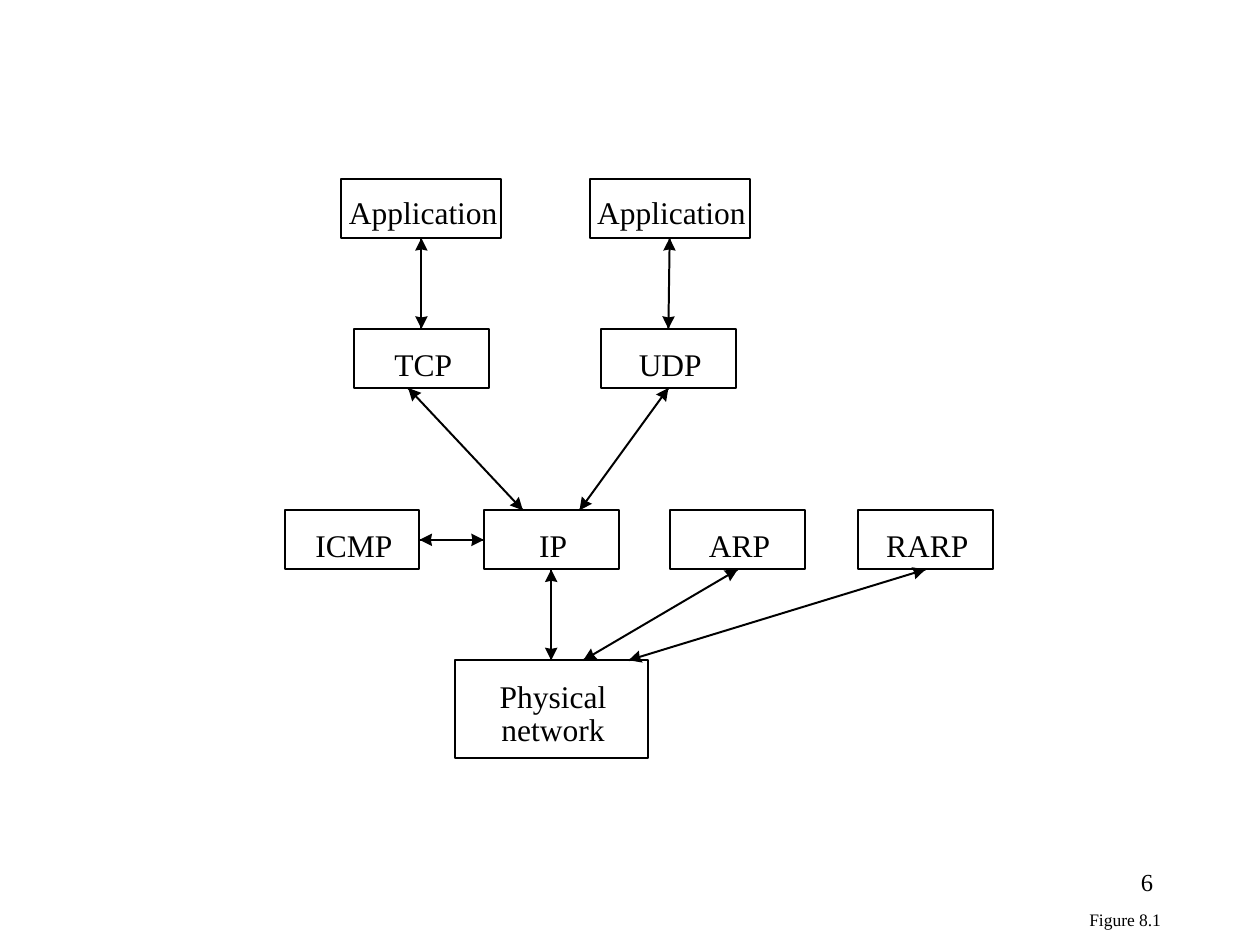
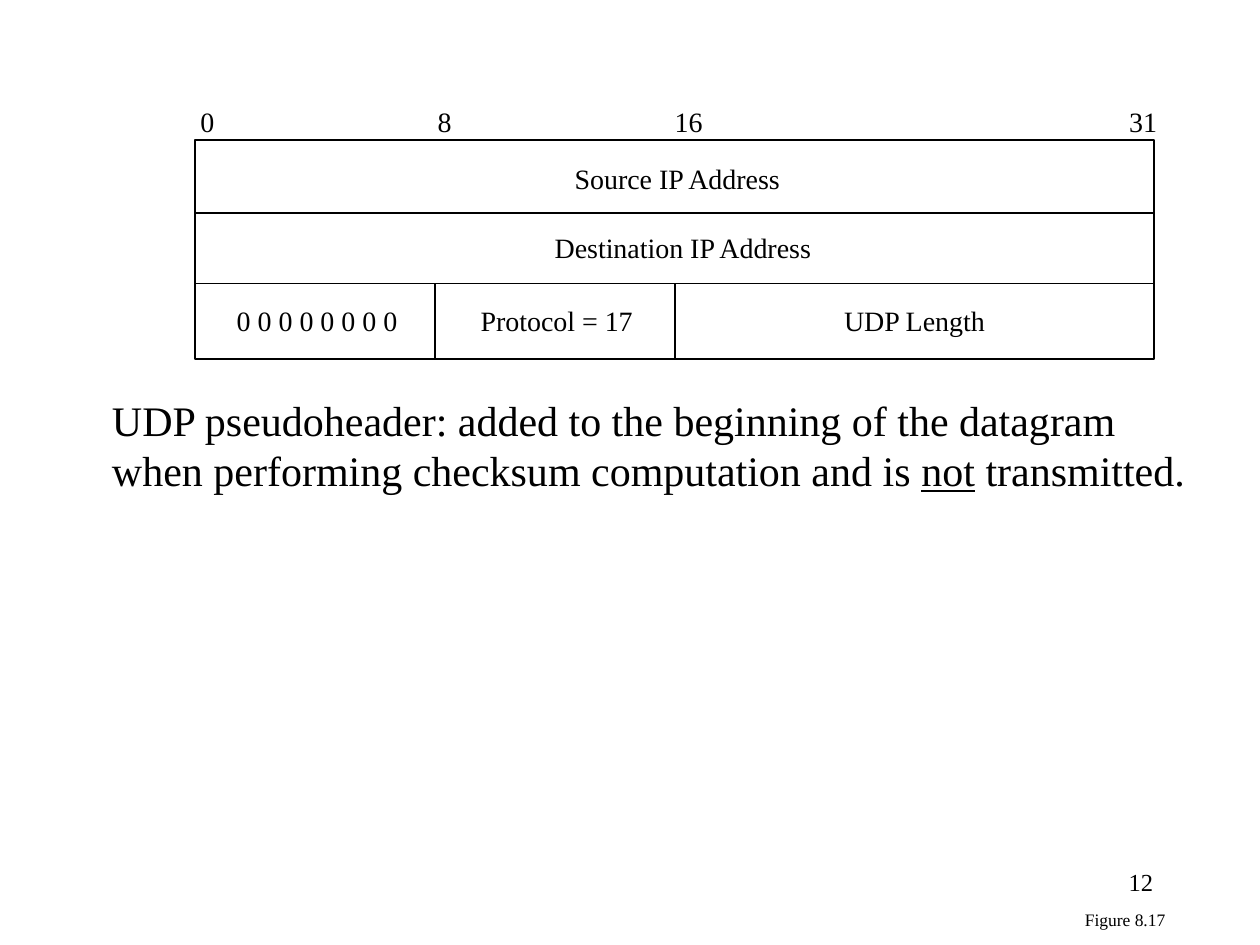
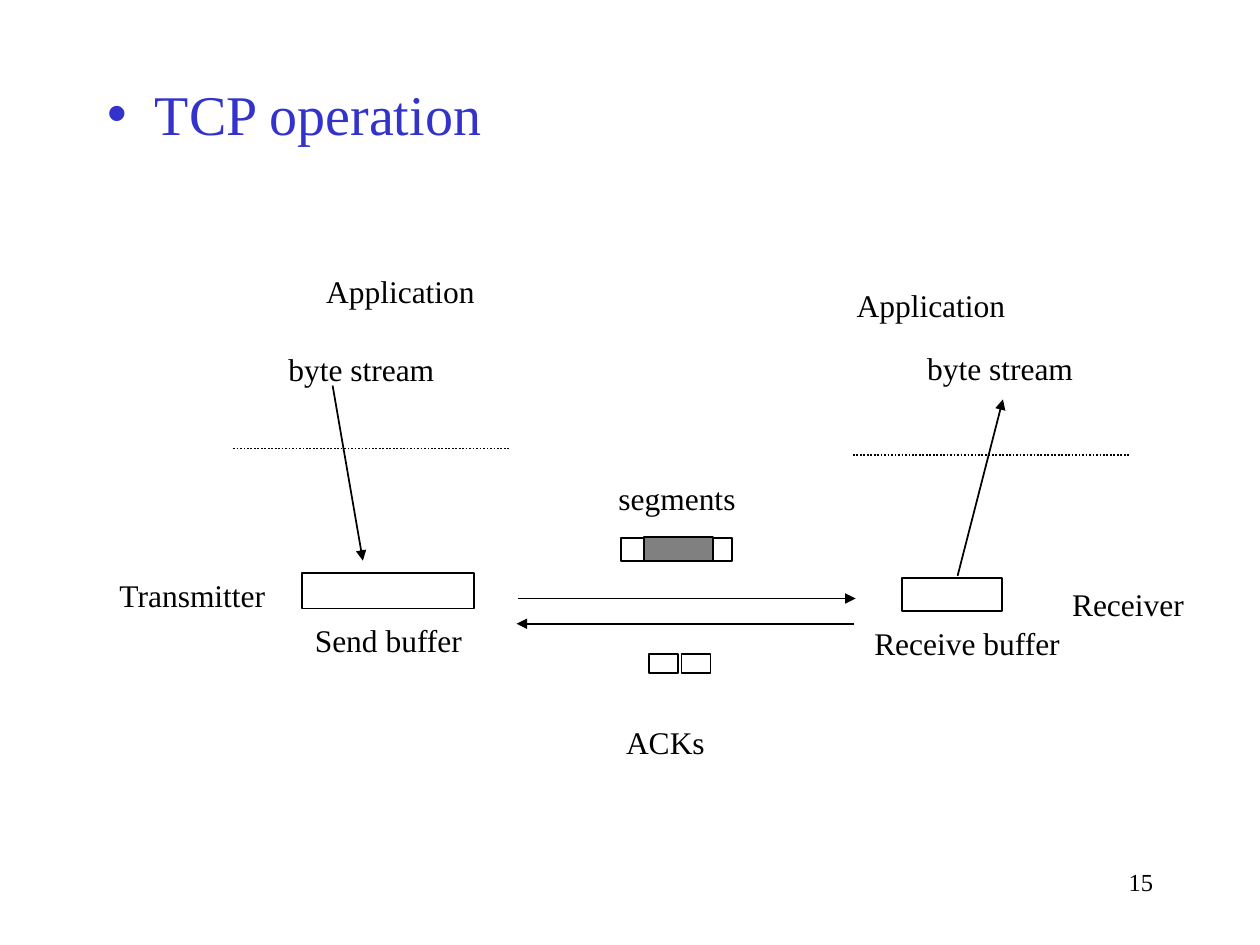
from dataclasses import dataclass
from math import hypot

from lxml import etree
from pptx import Presentation
from pptx.dml.color import RGBColor
from pptx.enum.dml import MSO_LINE
from pptx.enum.shapes import MSO_CONNECTOR, MSO_SHAPE
from pptx.enum.text import MSO_ANCHOR, MSO_AUTO_SIZE, PP_ALIGN
from pptx.oxml.ns import qn
from pptx.util import Inches, Pt

STRAIGHT = MSO_CONNECTOR.STRAIGHT
RECTANGLE = MSO_SHAPE.RECTANGLE
DOTTED = MSO_LINE.ROUND_DOT
LEFT, CENTER, RIGHT = PP_ALIGN.LEFT, PP_ALIGN.CENTER, PP_ALIGN.RIGHT
TOP, MIDDLE = MSO_ANCHOR.TOP, MSO_ANCHOR.MIDDLE
NO_FIT = MSO_AUTO_SIZE.NONE
TOP_SIDE, LEFT_SIDE, BOTTOM_SIDE, RIGHT_SIDE = range(4)

WIDTH, HEIGHT = Inches(10), Inches(7.5)
COLUMNS, ROWS = 10, 7.5
BODY_LAYOUT, BLANK_LAYOUT = 1, 6


@dataclass(frozen=True)
class Theme:
    font: str = "Times New Roman"
    ink: RGBColor = RGBColor(0x00, 0x00, 0x00)
    accent: RGBColor = RGBColor(0x33, 0x33, 0xCC)
    payload: RGBColor = RGBColor(0x80, 0x80, 0x80)
    heading: int = 32
    note: int = 24
    label: int = 18
    field: int = 16
    page: int = 14
    figure: int = 10
    thin: float = 1
    medium: float = 1.13


THEME = Theme()


def cols(count):
    return round(WIDTH * count / COLUMNS)


def rows(count):
    return round(HEIGHT * count / ROWS)


def area(left, top, width, height):
    return cols(left), rows(top), cols(width), rows(height)


def apply(target, values):
    for name, value in values.items():
        setattr(target, name, value)


def write(frame, text, size, align=LEFT, anchor=TOP, inset=(0.1, 0.05, 0.1, 0.05),
          wrap=False, spacing=None):
    left, top, right, bottom = inset
    apply(frame, {
        "word_wrap": wrap, "auto_size": NO_FIT, "vertical_anchor": anchor,
        "margin_left": cols(left), "margin_top": rows(top),
        "margin_right": cols(right), "margin_bottom": rows(bottom),
    })
    for index, line in enumerate(text.split("\n")):
        paragraph = frame.add_paragraph() if index else frame.paragraphs[0]
        apply(paragraph, {"alignment": align, "line_spacing": spacing})
        for part, piece in enumerate(line.split("_")):
            run = paragraph.add_run()
            run.text = piece
            apply(run.font, {"name": THEME.font, "size": Pt(size), "underline": part % 2 == 1})
            run.font.color.rgb = THEME.ink


def label(slide, text, place, size=THEME.label, **layout):
    write(slide.shapes.add_textbox(*area(*place)).text_frame, text, size, **layout)


def box(slide, place, weight=THEME.thin, fill=None):
    shape = slide.shapes.add_shape(RECTANGLE, *area(*place))
    shape.shadow.inherit = False
    if fill is None:
        shape.fill.background()
    else:
        shape.fill.solid()
        shape.fill.fore_color.rgb = fill
    shape.line.color.rgb = THEME.ink
    shape.line.width = Pt(weight)
    return shape


def node(slide, text, place, drop=0.08):
    shape = box(slide, place, THEME.medium)
    write(shape.text_frame, text, THEME.label, CENTER, MIDDLE,
          inset=(0.03, drop, 0, 0), spacing=Pt(19) if "\n" in text else None)
    return shape


def rule(slide, start, end, weight=THEME.thin, dash=None, tip=None):
    line = slide.shapes.add_connector(
        STRAIGHT, cols(start[0]), rows(start[1]), cols(end[0]), rows(end[1]))
    line.line.color.rgb = THEME.ink
    line.line.width = Pt(weight)
    if dash is not None:
        line.line.dash_style = dash
    if tip:
        etree.SubElement(line.line._get_or_add_ln(), qn("a:tailEnd"), type=tip)
    etree.SubElement(line._element.spPr, qn("a:effectLst"))
    return line


def arrowhead(slide, tip, origin):
    length, notch, half = cols(0.1), cols(0.09), cols(0.05)
    run, rise = tip[0] - origin[0], tip[1] - origin[1]
    distance = hypot(run, rise)
    along, across = run / distance, rise / distance

    def point(back, side):
        return (round(tip[0] - back * along - side * across),
                round(tip[1] - back * across + side * along))

    outline = slide.shapes.build_freeform(*point(length, half), scale=1)
    outline.add_line_segments([point(notch, 0), point(length, -half), point(0, 0)], close=True)
    head = outline.convert_to_shape()
    head.shadow.inherit = False
    head.fill.solid()
    head.fill.fore_color.rgb = THEME.ink
    head.line.fill.background()


def link(slide, start, end, begin=None, finish=None):
    line = rule(slide, start, end, THEME.medium)
    if begin:
        line.begin_connect(*begin)
    if finish:
        line.end_connect(*finish)
    first, last = (line.begin_x, line.begin_y), (line.end_x, line.end_y)
    arrowhead(slide, first, last)
    arrowhead(slide, last, first)


def footer(slide, page, figure=None):
    if figure:
        label(slide, figure, (8.51, 7.16, 0.84, 0.27), THEME.figure, align=CENTER, anchor=MIDDLE)
    label(slide, page, (7.17, 6.83, 2.08, 0.5), THEME.page, align=RIGHT, wrap=True)


def bullet_heading(slide, text):
    slide.shapes.title._element.getparent().remove(slide.shapes.title._element)
    body = slide.placeholders[1]
    apply(body, dict(zip(("left", "top", "width", "height"), area(0.75, 0.58, 8.5, 6.08))))
    write(body.text_frame, text, THEME.heading, wrap=True)
    paragraph = body.text_frame.paragraphs[0]
    paragraph.space_before = Pt(0)
    paragraph.runs[0].font.color.rgb = THEME.accent
    properties = paragraph._p.get_or_add_pPr()
    properties.set("marL", str(cols(0.38)))
    properties.set("indent", str(-cols(0.38)))
    colour = etree.SubElement(properties, qn("a:buClr"))
    etree.SubElement(colour, qn("a:srgbClr"), val=str(THEME.accent))
    etree.SubElement(properties, qn("a:buChar"), char="•")


def protocol_stack(slide):
    places = {
        "tcp_app": ("Application", 2.71, 1.42, 1.27, 0.05),
        "udp_app": ("Application", 4.68, 1.42, 1.27, 0.05),
        "tcp": ("TCP", 2.81, 2.61, 1.07, 0.08),
        "udp": ("UDP", 4.77, 2.61, 1.07, 0.08),
        "icmp": ("ICMP", 2.26, 4.05, 1.07, 0.08),
        "ip": ("IP", 3.84, 4.05, 1.07, 0.08),
        "arp": ("ARP", 5.32, 4.05, 1.07, 0.08),
        "rarp": ("RARP", 6.81, 4.05, 1.07, 0.08),
    }
    nodes = {key: node(slide, text, (left, top, width, 0.47), drop)
             for key, (text, left, top, width, drop) in places.items()}
    nodes["network"] = node(slide, "Physical\nnetwork", (3.61, 5.24, 1.53, 0.78))

    for upper, lower in (("tcp_app", "tcp"), ("udp_app", "udp"), ("ip", "network")):
        link(slide, (0, 0), (0, 0),
             (nodes[upper], BOTTOM_SIDE), (nodes[lower], TOP_SIDE))
    link(slide, (0, 0), (0, 0), (nodes["icmp"], RIGHT_SIDE), (nodes["ip"], LEFT_SIDE))
    link(slide, (3.24, 3.08), (4.15, 4.05))
    for upper, end in (("udp", (4.6, 4.05)), ("arp", (4.63, 5.24)), ("rarp", (4.99, 5.24))):
        link(slide, end, end, begin=(nodes[upper], BOTTOM_SIDE))
    footer(slide, "6", "Figure 8.1")


def pseudoheader(slide):
    left, width, bits = 1.55, 7.61, 32
    edges = (1.11, 1.69, 2.25, 2.85)
    text_tops = (1.28, 1.83, 2.41)

    def bit_column(bit):
        return left + width * bit / bits

    box(slide, (left, edges[0], width, edges[-1] - edges[0]))
    for edge in edges[1:-1]:
        rule(slide, (left, edge), (left + width, edge))
    for bit in (8, 16):
        rule(slide, (bit_column(bit), edges[2]), (bit_column(bit), edges[3]))
    for bit, indent in ((0, 0.04), (8, 0.02), (16, 0), (31, 0.04)):
        label(slide, str(bit), (bit_column(bit) + indent, 0.83, 0.25, 0.27),
              THEME.field, inset=(0, 0, 0, 0))
    fields = (
        ("Source IP Address", 0, 0, 32, 0.04),
        ("Destination IP Address", 1, 0, 32, 0.13),
        ("0 0 0 0 0 0 0 0", 2, 0, 8, 0.03),
        ("Protocol = 17", 2, 8, 16, 0.03),
        ("UDP Length", 2, 16, 32, 0),
    )
    for text, row, first, last, indent in fields:
        place = (bit_column(first), text_tops[row], bit_column(last) - bit_column(first), 0.27)
        label(slide, text, place, THEME.field, align=CENTER, inset=(indent, 0, 0, 0))
    label(slide, "UDP pseudoheader: added to the beginning of the datagram\n"
          "when performing checksum computation and is _not_ transmitted.",
          (0.79, 3.08, 8.71, 0.9), THEME.note)
    footer(slide, "12", "Figure 8.17")


def tcp_operation(slide):
    bullet_heading(slide, "TCP operation")
    labels = (
        ("Application", 2.49, 2.11, 1.38),
        ("byte stream", 2.19, 2.73, 1.36),
        ("Transmitter", 0.85, 4.52, 1.36),
        ("Send buffer", 2.4, 4.88, 1.37),
        ("segments", 4.81, 3.75, 1.13),
        ("ACKs", 4.87, 5.69, 0.82),
        ("Application", 6.7, 2.22, 1.38),
        ("byte stream", 7.26, 2.72, 1.36),
        ("Receiver", 8.41, 4.59, 1.09),
        ("Receive buffer", 6.84, 4.9, 1.68),
    )
    for text, left, top, width in labels:
        label(slide, text, (left, top, width, 0.4))

    send_buffer, receive_buffer = (2.4, 4.55, 1.36, 0.28), (7.16, 4.59, 0.79, 0.26)
    segment, first_ack, second_ack = (
        (4.93, 4.27, 0.88, 0.18), (5.15, 5.19, 0.23, 0.15), (5.41, 5.19, 0.23, 0.15))
    for place in (send_buffer, receive_buffer, segment, first_ack, second_ack):
        box(slide, place)
    box(slide, (5.11, 4.26, 0.55, 0.19), fill=THEME.payload)

    for left, row in ((1.85, 3.56), (6.77, 3.61)):
        rule(slide, (left, row), (left + 2.19, row), dash=DOTTED)
    flows = (
        ((2.64, 3.06), (2.88, 4.45)),
        ((7.6, 4.57), (7.96, 3.17)),
        ((4.11, 4.75), (6.79, 4.75)),
        ((6.78, 4.95), (4.1, 4.95)),
    )
    for start, end in flows:
        rule(slide, start, end, tip="triangle")
    footer(slide, "15")


def main():
    deck = Presentation()
    apply(deck, {"slide_width": WIDTH, "slide_height": HEIGHT})
    for build, layout in ((protocol_stack, BLANK_LAYOUT), (pseudoheader, BLANK_LAYOUT),
                          (tcp_operation, BODY_LAYOUT)):
        build(deck.slides.add_slide(deck.slide_layouts[layout]))
    deck.save("out.pptx")


if __name__ == "__main__":
    main()
